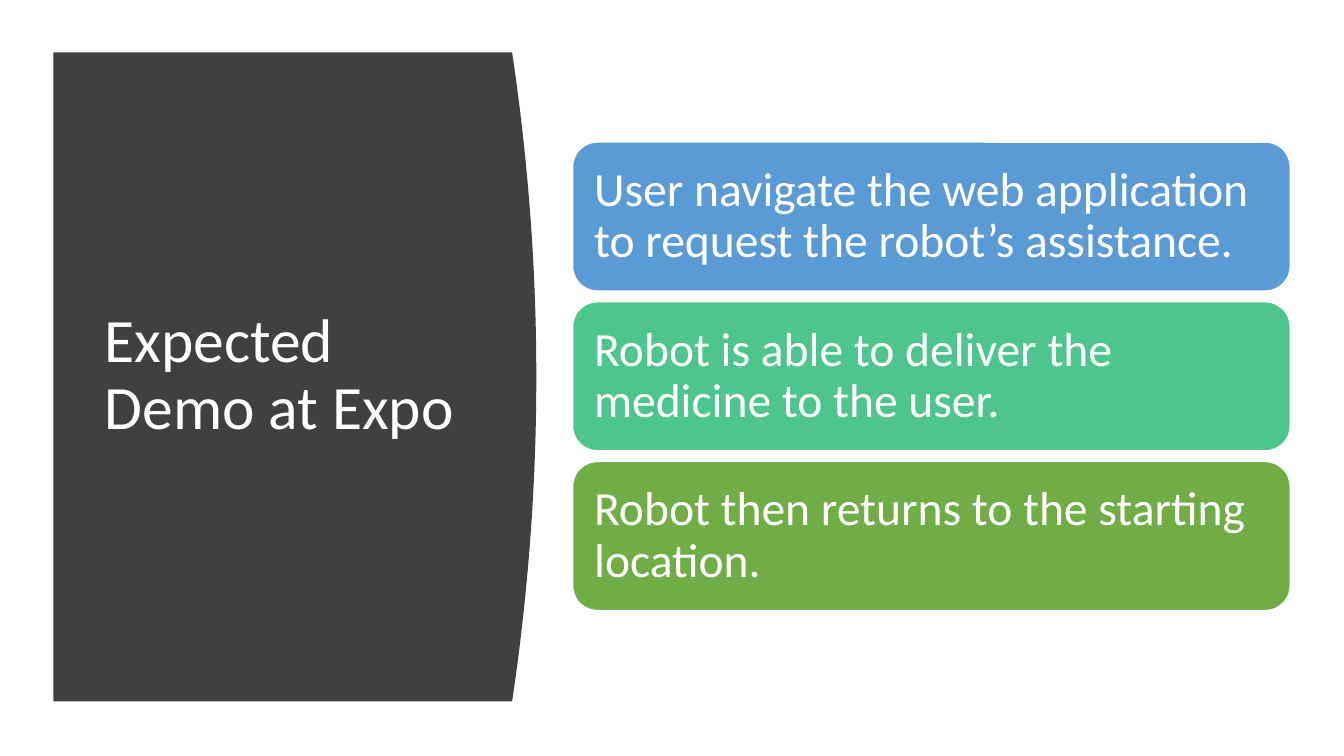
from pptx import Presentation
from pptx.dml.color import RGBColor
from pptx.enum.shapes import MSO_SHAPE
from pptx.enum.text import MSO_ANCHOR, PP_ALIGN
from pptx.util import Pt

TITLE = "Expected Demo at Expo"
STEPS = [
    ("User navigate the web application to request the robot’s assistance.", "5B9BD5"),
    ("Robot is able to deliver the medicine to the user.", "4DC58D"),
    ("Robot then returns to the starting location.", "70AD47"),
]
PANEL_LEFT, PANEL_TOP, PANEL_EDGE, PANEL_BOTTOM = 38.2, 37.4, 365.8, 501.1
PANEL_BULGE = 17.3
CURVE_STEPS = 48
CARD_LEFT, CARD_TOP, CARD_WIDTH, CARD_HEIGHT = 409, 101.5, 512.6, 106.4
CARD_PITCH = 114.1


def color(value):
    return RGBColor.from_string(value)


def write(frame, text, size, inset_x, inset_y):
    frame.word_wrap = True
    frame.vertical_anchor = MSO_ANCHOR.MIDDLE
    frame.margin_left = frame.margin_right = Pt(inset_x)
    frame.margin_top = frame.margin_bottom = Pt(inset_y)
    para = frame.paragraphs[0]
    para.text = text
    para.alignment = PP_ALIGN.LEFT
    para.line_spacing = 0.9
    para.font.name = "Calibri"
    para.font.size = Pt(size)
    para.font.color.rgb = color("FFFFFF")


def curve_point(step):
    along = step / CURVE_STEPS
    x = PANEL_EDGE + PANEL_BULGE * (1 - (2 * along - 1) ** 2)
    y = PANEL_TOP + (PANEL_BOTTOM - PANEL_TOP) * along
    return Pt(x), Pt(y)


def add_panel(page):
    builder = page.shapes.build_freeform(Pt(PANEL_LEFT), Pt(PANEL_TOP))
    points = [curve_point(step) for step in range(CURVE_STEPS + 1)]
    builder.add_line_segments(points + [(Pt(PANEL_LEFT), Pt(PANEL_BOTTOM))], close=True)
    panel = builder.convert_to_shape()
    panel.shadow.inherit = False
    panel.fill.solid()
    panel.fill.fore_color.rgb = color("404040")
    panel.line.fill.background()


def add_card(page, index, text, fill):
    top = CARD_TOP + index * CARD_PITCH
    card = page.shapes.add_shape(
        MSO_SHAPE.ROUNDED_RECTANGLE,
        Pt(CARD_LEFT), Pt(top), Pt(CARD_WIDTH), Pt(CARD_HEIGHT),
    )
    card.shadow.inherit = False
    card.fill.solid()
    card.fill.fore_color.rgb = color(fill)
    card.line.color.rgb = color("FFFFFF")
    card.line.width = Pt(1)
    write(card.text_frame, text, 34, 10.2, 10.2)


def main():
    deck = Presentation()
    deck.slide_width, deck.slide_height = Pt(960), Pt(540)
    page = deck.slides.add_slide(deck.slide_layouts[6])
    add_panel(page)
    title = page.shapes.add_textbox(Pt(67.7), Pt(80), Pt(269.3), Pt(377.3))
    write(title.text_frame, TITLE, 44, 7.2, 3.6)
    for index, (text, fill) in enumerate(STEPS):
        add_card(page, index, text, fill)
    deck.save("out.pptx")


if __name__ == "__main__":
    main()
